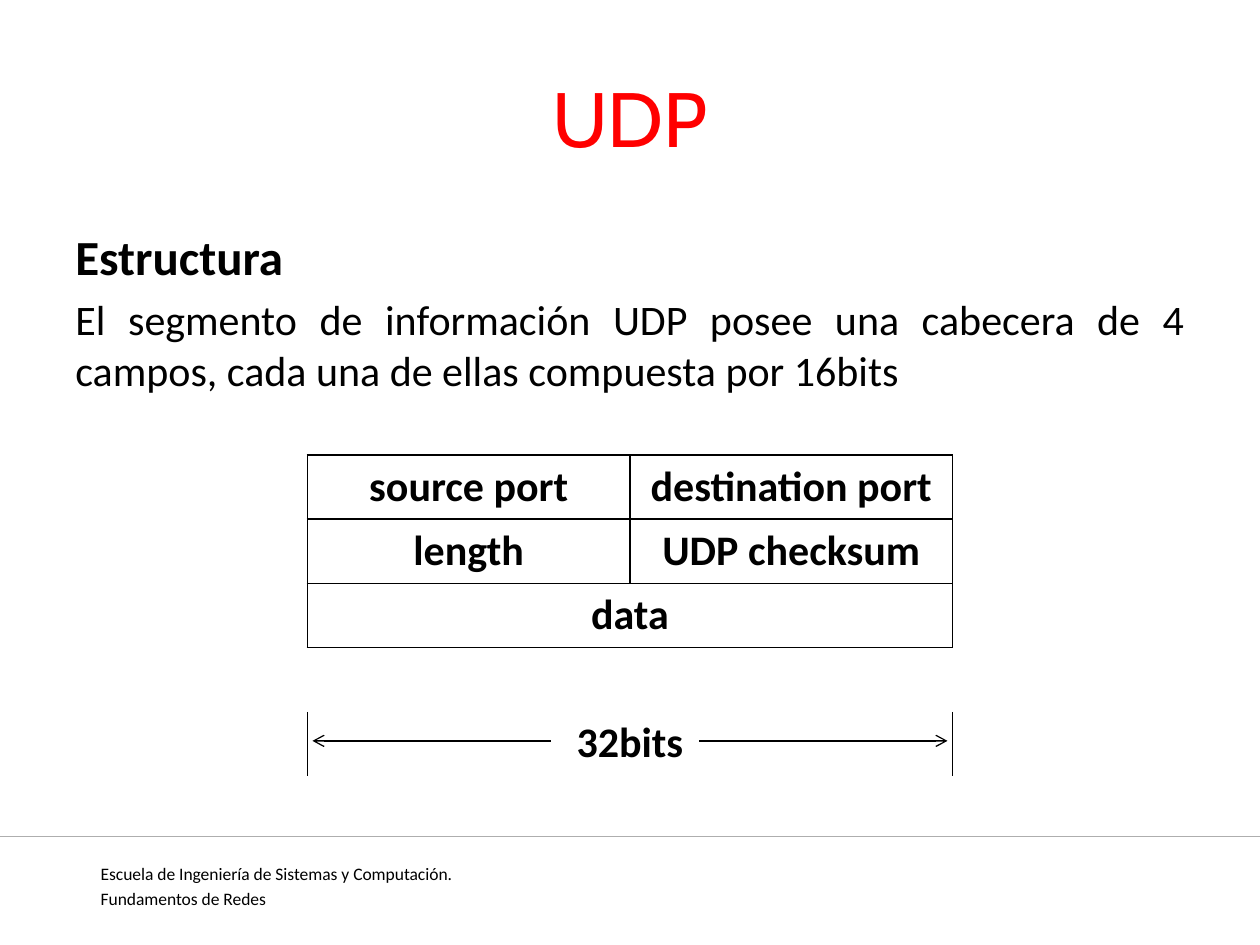
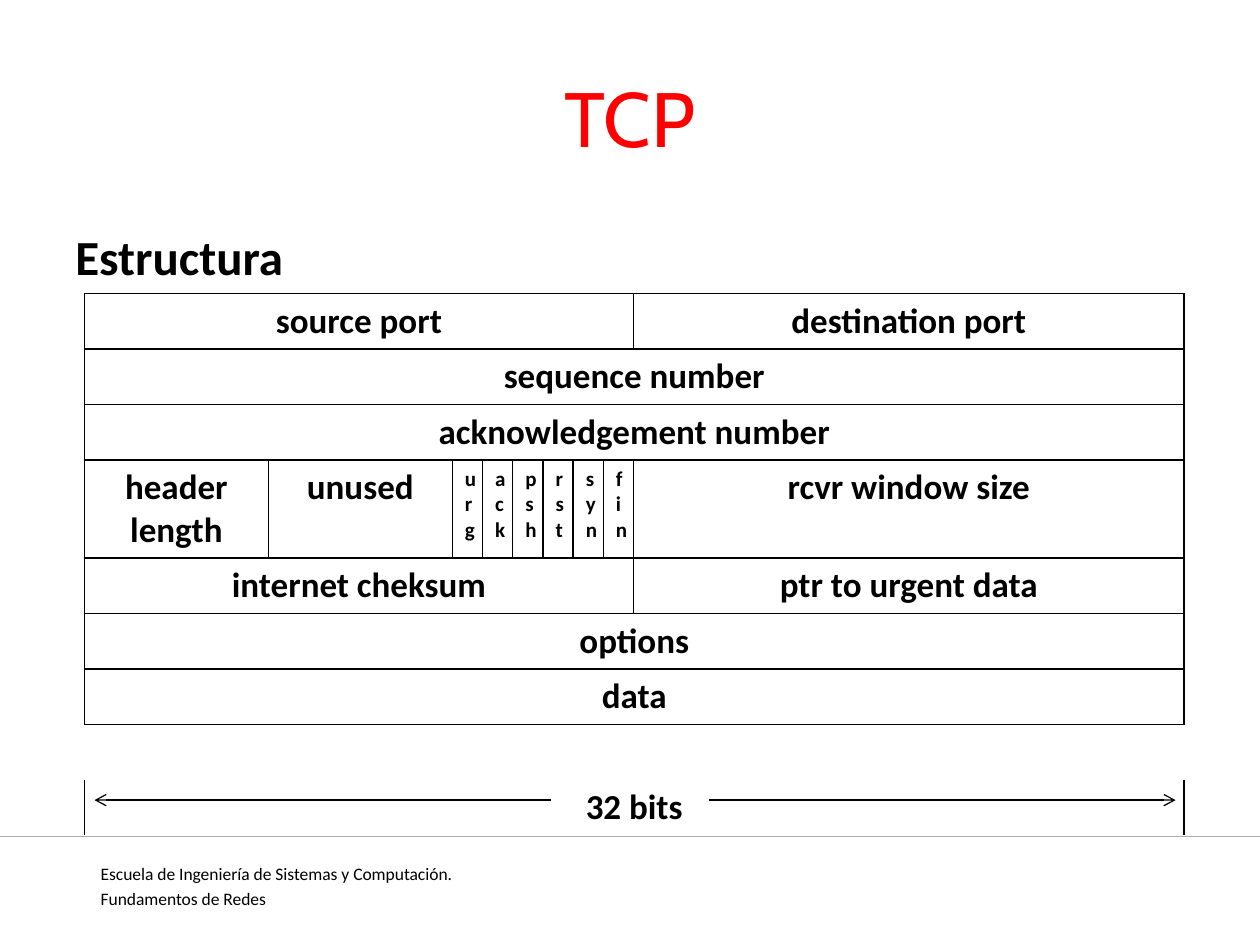
"""Build two slides on the structure of UDP and TCP segments."""
from lxml import etree
from pptx import Presentation
from pptx.dml.color import RGBColor
from pptx.enum import shapes, text
from pptx.oxml import ns
from pptx.util import Inches, Pt

COLORS = {"title": "FF0000", "ink": "000000", "rule": "AEAEAE"}
FOOTER = ["Escuela de Ingeniería de Sistemas y Computación.", "Fundamentos de Redes"]
TITLE = {"size": 44, "name": "Cabin", "color": "title"}
HEADING = {"size": 28, "bold": True}
BODY = {"size": 24}
SMALL = {"size": 10}
FLAG = {"size": 12, "bold": True}
GRID, TOP_ONLY, SIDES = "LRTB", "T", "LR"

SEGMENTS = [
    {
        "title": "UDP",
        "body": [
            ("Estructura", HEADING),
            ("El segmento de información UDP posee una cabecera de 4 campos, "
             "cada una de ellas compuesta por 16bits", BODY),
        ],
        "table": (2.44, 3.61),
        "columns": [2.56] * 2,
        "row_height": 0.51,
        "tall_rows": {},
        "size": 24,
        "rows": [
            (GRID, [("source port", 1), ("destination port", 1)]),
            (GRID, [("length", 1), ("UDP checksum", 1)]),
            (GRID, [("data", 2)]),
            (TOP_ONLY, [("", 2)]),
            (SIDES, [("32bits", 2)]),
        ],
        "arrow_y": 5.88,
        "arrows": [(4.37, 2.48), (5.55, 7.52)],
    },
    {
        "title": "TCP",
        "body": [("Estructura", HEADING)],
        "table": (0.67, 2.33),
        "columns": [1.46] * 2 + [0.24] * 6 + [4.37],
        "row_height": 0.44,
        "tall_rows": {3: 0.78},
        "size": 20,
        "rows": [
            (GRID, [("source port", 8), ("destination port", 1)]),
            (GRID, [("sequence number", 9)]),
            (GRID, [("acknowledgement number", 9)]),
            (GRID, [("header length", 1), ("unused", 1)]
             + [("\n".join(flag), 1) for flag in ("urg", "ack", "psh", "rst", "syn", "fin")]
             + [("rcvr window size", 1)]),
            (GRID, [("internet cheksum", 8), ("ptr to urgent data", 1)]),
            (GRID, [("options", 9)]),
            (GRID, [("data", 9)]),
            (TOP_ONLY, [("", 9)]),
            (SIDES, [("32 bits", 9)]),
        ],
        "arrow_y": 6.35,
        "arrows": [(4.37, 0.75), (5.63, 9.33)],
    },
]


def write(frame, lines, align, gap=0):
    """Fill a text frame with (words, format) lines, spaced by a share of their size."""
    frame.word_wrap = True
    for number, (words, values) in enumerate(lines):
        para = frame.add_paragraph() if number else frame.paragraphs[0]
        para.alignment = align
        para.space_before = Pt(values["size"] * gap)
        span = para.add_run()
        span.text = words
        style = {"name": "Calibri", "bold": False, "color": "ink", **values}
        span.font.color.rgb = RGBColor.from_string(COLORS[style.pop("color")])
        style["size"] = Pt(style["size"])
        for key, value in style.items():
            setattr(span.font, key, value)


def draw_line(page, start, end, y, color, arrow=False):
    """Draw a horizontal line, with an arrowhead at its end if asked."""
    line = page.shapes.add_connector(
        shapes.MSO_CONNECTOR.STRAIGHT, Inches(start), Inches(y), Inches(end), Inches(y))
    line.line.color.rgb = RGBColor.from_string(COLORS[color])
    line.line.width = Pt(0.75)
    properties = line._element.spPr
    if arrow:
        etree.SubElement(line.line._get_or_add_ln(), ns.qn("a:tailEnd"), type="arrow")
    etree.SubElement(properties, ns.qn("a:effectLst"))


deck = Presentation()
deck.slide_width, deck.slide_height = Inches(10), Inches(7.5)

for segment in SEGMENTS:
    page = deck.slides.add_slide(deck.slide_layouts[5])

    footer = page.shapes.add_textbox(Inches(0.7), Inches(6.8), Inches(8.98), Inches(0.39))
    write(footer.text_frame, [(words, SMALL) for words in FOOTER], text.PP_ALIGN.JUSTIFY, 0.2)

    title = page.shapes.title
    place = {"left": 0.5, "top": 0.3, "width": 9, "height": 1.25}
    for key, value in place.items():
        setattr(title, key, Inches(value))
    title.text_frame.vertical_anchor = text.MSO_ANCHOR.MIDDLE
    write(title.text_frame, [(segment["title"], TITLE)], text.PP_ALIGN.CENTER)

    body = page.shapes.add_textbox(Inches(0.5), Inches(1.75), Inches(9), Inches(4.95))
    write(body.text_frame, segment["body"], text.PP_ALIGN.JUSTIFY, 0.2)

    draw_line(page, 0, 10, 6.64, "rule")

    columns, rows = segment["columns"], segment["rows"]
    heights = [segment["tall_rows"].get(r, segment["row_height"]) for r in range(len(rows))]
    left, top = segment["table"]
    table = page.shapes.add_table(
        len(rows), len(columns), Inches(left), Inches(top),
        Inches(sum(columns)), Inches(sum(heights))).table
    table.first_row = table.horz_banding = False
    for column, width in zip(table.columns, columns):
        column.width = Inches(width)
    for row, height in zip(table.rows, heights):
        row.height = Inches(height)

    for r, (edges, fields) in enumerate(rows):
        first = 0
        for words, count in fields:
            last = first + count - 1
            field = table.cell(r, first)
            if count > 1:
                field.merge(table.cell(r, last))
            if words:
                style = FLAG if "\n" in words else {"size": segment["size"], "bold": True}
                write(field.text_frame, [(part, style) for part in words.split("\n")],
                      text.PP_ALIGN.CENTER)
            for c in range(first, last + 1):
                cell = table.cell(r, c)
                properties = cell._tc.get_or_add_tcPr()
                inner = {"L": c > first, "R": first < c < last}
                for side in GRID:
                    border = etree.SubElement(
                        properties, ns.qn(f"a:ln{side}"), w=str(Pt(1)))
                    if side in edges and not inner.get(side):
                        fill = etree.SubElement(border, ns.qn("a:solidFill"))
                        etree.SubElement(fill, ns.qn("a:srgbClr"), val=COLORS["ink"])
                    else:
                        etree.SubElement(border, ns.qn("a:noFill"))
                cell.fill.background()
            first = last + 1

    for start, end in segment["arrows"]:
        draw_line(page, start, end, segment["arrow_y"], "ink", arrow=True)

deck.save("out.pptx")
